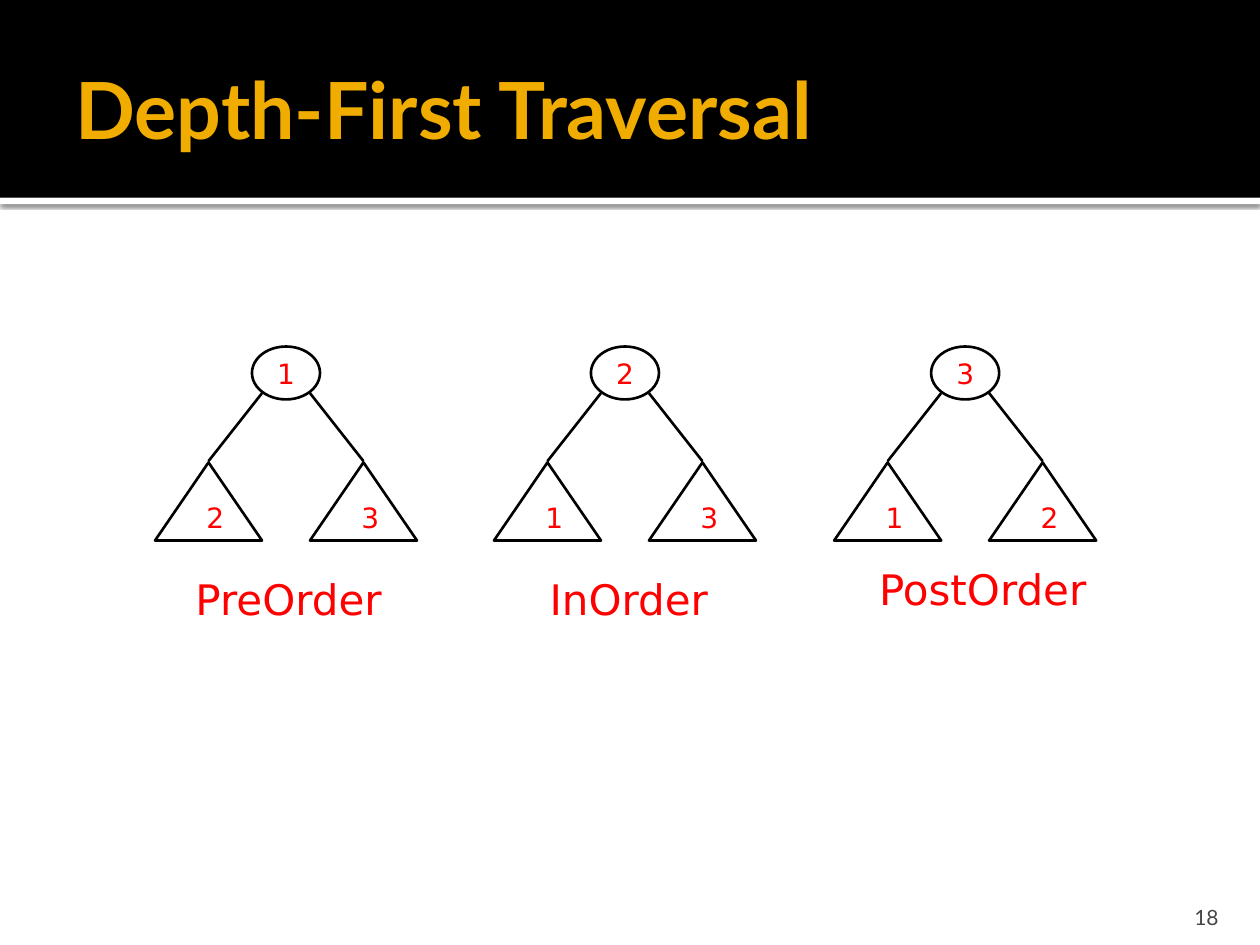
import pptx
import pptx.util
import pptx.oxml
import pptx.oxml.ns
import pptx.dml.color
import pptx.enum.shapes
import pptx.enum.text
from dataclasses import dataclass

Inches, Pt = pptx.util.Inches, pptx.util.Pt
RGB = pptx.dml.color.RGBColor.from_string
MSO = pptx.enum.shapes.MSO_SHAPE
ANCHOR = pptx.enum.text.MSO_ANCHOR
ALIGN = pptx.enum.text.PP_ALIGN
qn = pptx.oxml.ns.qn


@dataclass(frozen=True)
class Theme:
    heading_font: str = "Lato"
    label_font: str = "DejaVu Sans"
    band: str = "000000"
    rule: str = "FFFFFF"
    title: str = "F0AD00"
    number: str = "454545"
    ink: str = "000000"
    label: str = "FF0000"
    title_size: int = 45
    number_size: int = 12
    node_size: int = 16
    caption_size: int = 24
    line_width: float = 1.5


THEME = Theme()

# Caption, numbers of root, left and right subtree, tree origin, caption box
TREES = [
    ("PreOrder", "1", ("2", "3"), (1.23, 2.75), (1.33, 4.5, 1.92, 0.51)),
    ("InOrder", "2", ("1", "3"), (3.92, 2.75), (4.23, 4.5, 1.52, 0.51)),
    ("PostOrder", "3", ("1", "2"), (6.62, 2.75), (6.85, 4.42, 1.9, 0.51)),
]


def inches(*values):
    return [Inches(v) for v in values]


def write(tf, text, size, color, font, align, bold=False):
    tf.text = text
    p = tf.paragraphs[0]
    p.alignment = align
    f = p.runs[0].font
    f.name, f.size, f.bold = font, Pt(size), bold
    f.color.rgb = RGB(color)


def add_label(slide, box, text, size, align):
    tf = slide.shapes.add_textbox(*inches(*box)).text_frame
    tf.word_wrap = True
    write(tf, text, size, THEME.label, THEME.label_font, align)


def add_bar(slide, box, color):
    sp = slide.shapes.add_shape(MSO.RECTANGLE, *inches(*box))
    sp.shadow.inherit = False
    sp.fill.solid()
    sp.fill.fore_color.rgb = RGB(color)
    sp.line.fill.background()
    return sp


def add_outline(slide, kind, box):
    sp = slide.shapes.add_shape(kind, *inches(*box))
    sp.shadow.inherit = False
    sp.fill.background()
    sp.line.color.rgb = RGB(THEME.ink)
    sp.line.width = Pt(THEME.line_width)
    return sp


def add_edge(slide, start, end):
    line = slide.shapes.add_connector(
        pptx.enum.shapes.MSO_CONNECTOR.STRAIGHT, *inches(*start, *end))
    line.line.color.rgb = RGB(THEME.ink)
    line.line.width = Pt(THEME.line_width)
    pptx.oxml.ns  # namespace helpers
    line._element.spPr.append(pptx.oxml.parse_xml(
        '<a:effectLst xmlns:a="http://schemas.openxmlformats.org/drawingml/2006/main"/>'))


def add_header(slide, box, text):
    x, y, w, h = box
    # White rule with a soft shadow, below the black band
    rule = add_bar(slide, (x, y + h, w, 0.05), THEME.rule)
    effects = rule._element.spPr.find(qn("a:effectLst"))
    effects.append(pptx.oxml.parse_xml(
        '<a:outerShdw xmlns:a="http://schemas.openxmlformats.org/drawingml/2006/main" '
        'blurRad="31750" dist="10160" dir="5400000" algn="tl" rotWithShape="0">'
        '<a:srgbClr val="000000"><a:alpha val="60000"/></a:srgbClr></a:outerShdw>'))
    add_bar(slide, box, THEME.band)

    # Title, brought in front of the band
    title = slide.shapes.title
    title.left, title.top, title.width, title.height = inches(
        x + 0.5, y + 0.17, w - 1, 1.37)
    tf = title.text_frame
    tf.auto_size = pptx.enum.text.MSO_AUTO_SIZE.NONE
    tf.vertical_anchor = ANCHOR.MIDDLE
    tf.margin_right = Inches(0.05)
    write(tf, text, THEME.title_size, THEME.title, THEME.heading_font,
          ALIGN.LEFT, bold=True)
    slide.shapes._spTree.append(title._element)


def add_tree(slide, origin, root, subtrees):
    x, y = origin
    # Root node
    sp = add_outline(slide, MSO.OVAL, (x + 0.77, y, 0.54, 0.42))
    tf = sp.text_frame
    tf.word_wrap = False
    tf.vertical_anchor = ANCHOR.MIDDLE
    write(tf, root, THEME.node_size, THEME.label, THEME.label_font, ALIGN.CENTER)

    # Edge, triangle and number of each subtree
    for text, dx, edge_dx in zip(subtrees, (0, 1.23), (0.85, 1.23)):
        left = x + dx
        add_edge(slide, (x + edge_dx, y + 0.37), (left + 0.425, y + 0.91))
        add_outline(slide, MSO.ISOSCELES_TRIANGLE, (left, y + 0.92, 0.85, 0.62))
        add_label(slide, (left + 0.31, y + 1.17, 0.39, 0.37), text,
                  THEME.node_size, ALIGN.LEFT)


def add_slide_number(slide, box, text):
    tf = slide.shapes.add_textbox(*inches(*box)).text_frame
    tf.word_wrap = True
    tf.vertical_anchor = ANCHOR.BOTTOM
    tf.margin_bottom = 0
    write(tf, text, THEME.number_size, THEME.number, THEME.heading_font, ALIGN.RIGHT)


def main():
    prs = pptx.Presentation()
    prs.slide_width, prs.slide_height = inches(10, 7.5)
    slide = prs.slides.add_slide(prs.slide_layouts[5])
    add_header(slide, (0, 0, 10, 1.57), "Depth-First Traversal")
    add_slide_number(slide, (8.97, 7.08, 0.8, 0.3), "18")
    for caption, root, subtrees, origin, caption_box in TREES:
        add_tree(slide, origin, root, subtrees)
        add_label(slide, caption_box, caption, THEME.caption_size, ALIGN.CENTER)
    prs.save("out.pptx")


if __name__ == "__main__":
    main()
